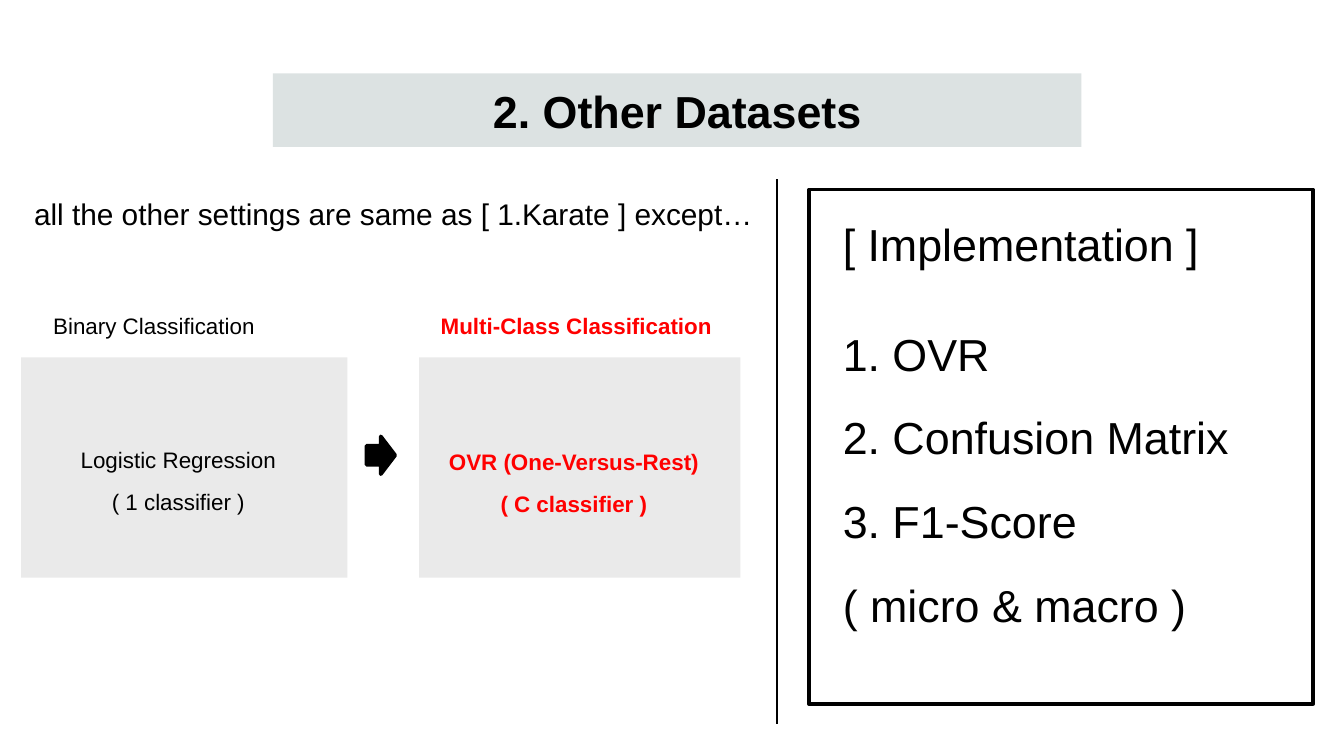
import pptx
import pptx.util
import pptx.dml.color
import pptx.enum.shapes
import pptx.enum.text
import pptx.oxml.ns
import lxml.etree

Pt = pptx.util.Pt
SHAPE = pptx.enum.shapes.MSO_SHAPE
ALIGN = pptx.enum.text.PP_ALIGN
ANCHOR = pptx.enum.text.MSO_ANCHOR
COLORS = {"black": "000000", "red": "FF0000", "banner": "DCE2E2", "panel": "EAEAEA"}


class SlideBuilder:
    font = "Arial"

    def __init__(self, slide):
        self.slide = slide

    def color(self, name):
        return pptx.dml.color.RGBColor.from_string(COLORS[name])

    def fill_text(self, tf, lines, size, color="black", bold=False, align=ALIGN.LEFT, spacing=1):
        tf.word_wrap = True
        tf.text = "\n".join(lines)
        for p in tf.paragraphs:
            p.alignment = align
            p.line_spacing = float(spacing)
            for r in p.runs:
                r.font.name = self.font
                r.font.size = Pt(size)
                r.font.bold = bold
                r.font.color.rgb = self.color(color)

    def text(self, x, y, w, h, lines, size, **style):
        tf = self.slide.shapes.add_textbox(Pt(x), Pt(y), Pt(w), Pt(h)).text_frame
        self.fill_text(tf, lines, size, **style)
        return tf

    def shape(self, kind, x, y, w, h, fill=None, line=None):
        s = self.slide.shapes.add_shape(kind, Pt(x), Pt(y), Pt(w), Pt(h))
        s.shadow.inherit = False
        if fill:
            s.fill.solid()
            s.fill.fore_color.rgb = self.color(fill)
        else:
            s.fill.background()
        if line:
            s.line.color.rgb = self.color(line)
            s.line.width = Pt(2)
        else:
            s.line.fill.background()
        return s

    def divider(self, x, top, bottom):
        c = self.slide.shapes.add_connector(
            pptx.enum.shapes.MSO_CONNECTOR.STRAIGHT, Pt(x), Pt(top), Pt(x), Pt(bottom))
        c.line.color.rgb = self.color("black")
        c.line.width = Pt(0.75)
        lxml.etree.SubElement(c._element.spPr, pptx.oxml.ns.qn("a:effectLst"))

    def method(self, x, w, heading_x, heading, text_x, text_y, text_w, lines, **style):
        self.text(heading_x, 163.5, 190, 20, [heading], 12, **style)
        self.shape(SHAPE.RECTANGLE, x, 191.5, w, 118, fill="panel")
        self.text(text_x, text_y, text_w, 43, lines, 12, align=ALIGN.CENTER, spacing=1.56, **style)


def main():
    prs = pptx.Presentation()
    prs.slide_width, prs.slide_height = Pt(720), Pt(405)
    b = SlideBuilder(prs.slides.add_slide(prs.slide_layouts[6]))

    banner = b.shape(SHAPE.RECTANGLE, 146.2, 39.4, 433.2, 39.4, fill="banner")
    b.fill_text(banner.text_frame, ["2. Other Datasets"], 24, bold=True, align=ALIGN.CENTER)
    banner.text_frame.vertical_anchor = ANCHOR.MIDDLE

    b.text(11.2, 101.5, 410, 27, ["all the other settings are same as [ 1.Karate ] except…"], 16)
    b.divider(416.2, 96, 388)

    b.method(11.3, 174.8, 21.4, "Binary Classification", 26.6, 227.5, 138,
             ["Logistic Regression", "( 1 classifier )"])
    b.method(224.5, 172.2, 229, "Multi-Class Classification", 216.7, 228.5, 181.5,
             ["OVR (One-Versus-Rest)", "( C classifier )"], color="red", bold=True)
    b.shape(SHAPE.RIGHT_ARROW, 196.3, 233.8, 15.4, 20.2, fill="black", line="black")

    b.shape(SHAPE.RECTANGLE, 433.4, 101.5, 270, 275.6, line="black")
    tf = b.text(444.4, 112.5, 242, 225,
                ["[ Implementation ]", "1. OVR", "2. Confusion Matrix", "3. F1-Score", "( micro & macro )"], 24)
    tf.paragraphs[1].space_before = Pt(30)
    for p in tf.paragraphs[2:]:
        p.line_spacing = 1.56

    prs.save("out.pptx")


if __name__ == "__main__":
    main()
